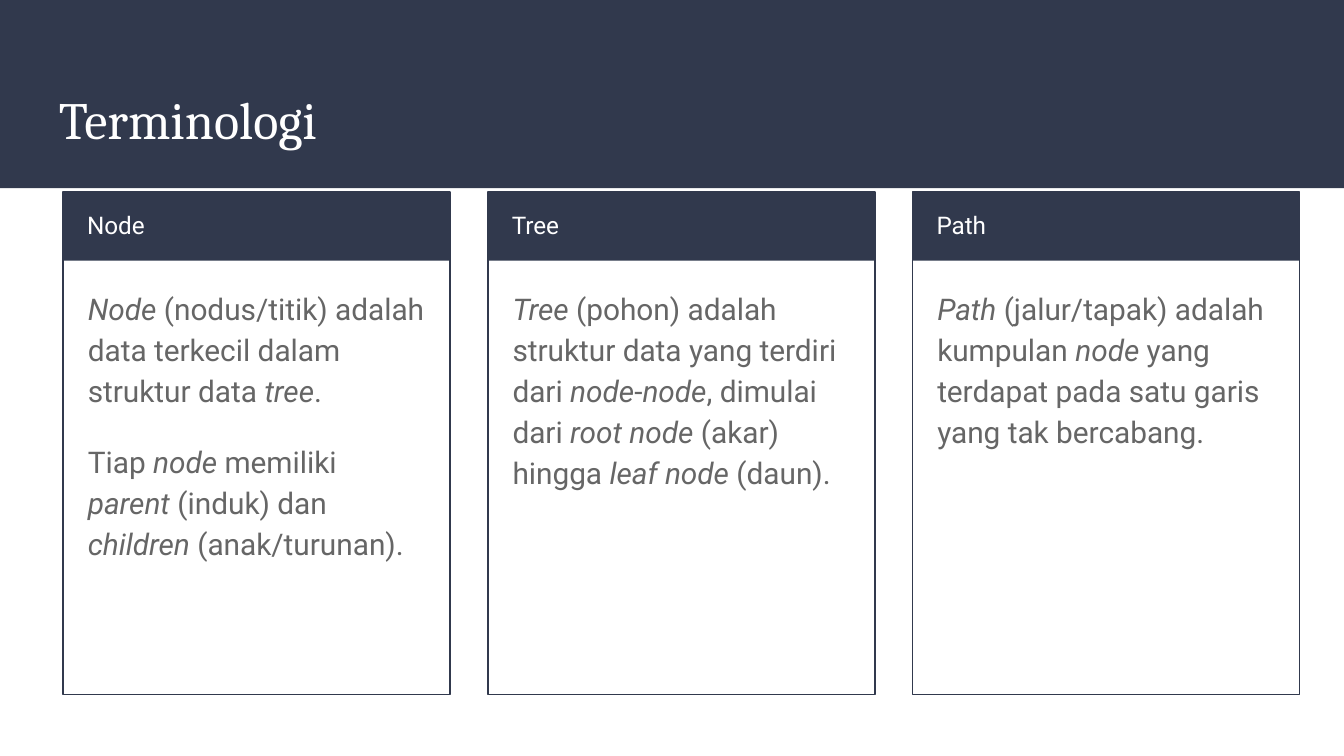
from pptx import Presentation
from pptx import util as u
from pptx.dml import color
from pptx.enum import shapes, text

PX = 4572
NAVY, WHITE, GREY = "31394D", "FFFFFF", "666666"
CARD_LEFT, CARD_TOP, CARD_WIDTH, CARD_HEIGHT, CARD_PITCH = 94, 286, 576, 748, 632
TERMS = [
    ("Node", ["*Node* (nodus/titik) adalah data terkecil dalam struktur data *tree*.",
              "Tiap *node* memiliki *parent* (induk) dan *children* (anak/turunan)."]),
    ("Tree", ["*Tree* (pohon) adalah struktur data yang terdiri dari *node*-*node*, "
              "dimulai dari *root node* (akar) hingga *leaf node* (daun)."]),
    ("Path", ["*Path* (jalur/tapak) adalah kumpulan *node* yang terdapat pada "
              "satu garis yang tak bercabang."]),
]


def rgb(hex_color):
    """Turn a hex string into a colour."""
    return color.RGBColor.from_string(hex_color)


def add_box(slide, left, top, width, height, fill=None, line=None):
    """Draw a rectangle with an optional fill and outline."""
    box = slide.shapes.add_shape(shapes.MSO_SHAPE.RECTANGLE,
                                 left * PX, top * PX, width * PX, height * PX)
    box.shadow.inherit = False
    if fill:
        box.fill.solid()
        box.fill.fore_color.rgb = rgb(fill)
    else:
        box.fill.background()
    if line:
        box.line.color.rgb = rgb(line)
        box.line.width = u.Pt(0.75)
    else:
        box.line.fill.background()


def add_text(slide, left, top, width, height, paragraphs, size, font, hex_color, spacing=1.15):
    """Write paragraphs in which asterisks enclose italic words."""
    frame = slide.shapes.add_textbox(left * PX, top * PX, width * PX, height * PX).text_frame
    frame.word_wrap = True
    frame.vertical_anchor = text.MSO_ANCHOR.TOP
    frame.margin_left = frame.margin_right = frame.margin_top = frame.margin_bottom = 20 * PX
    for index, wording in enumerate(paragraphs):
        paragraph = frame.add_paragraph() if index else frame.paragraphs[0]
        paragraph.line_spacing = spacing
        paragraph.space_before = u.Pt(size if index else 0)
        for position, part in enumerate(wording.split("*")):
            if part:
                run = paragraph.add_run()
                run.text = part
                run.font.size = u.Pt(size)
                run.font.name = font
                run.font.italic = position % 2 == 1
                run.font.color.rgb = rgb(hex_color)


def add_banner(slide, left, top, width, height, title):
    """Draw the dark title band."""
    add_box(slide, left, top, width, height, fill=NAVY)
    add_text(slide, left + 68, top + 110, width - 136, 136, [title], 28, "Cambria", WHITE, 1.0)


def add_card(slide, left, top, width, height, term, definition):
    """Draw one outlined card with a term and its definition."""
    add_box(slide, left, top, width, 102, fill=NAVY)
    add_box(slide, left, top, width, height, line=NAVY)
    add_text(slide, left + 16, top, width - 30, 100, [term], 13, "Roboto", WHITE)
    add_text(slide, left + 17, top + 118, width - 34, height - 136,
             definition, 16, "Roboto", GREY)


def main():
    """Build the terminology slide."""
    deck = Presentation()
    deck.slide_width, deck.slide_height = 2000 * PX, 1125 * PX
    slide = deck.slides.add_slide(deck.slide_layouts[6])
    add_banner(slide, 0, 0, 2000, 280, "Terminologi")
    for column, (term, definition) in enumerate(TERMS):
        add_card(slide, CARD_LEFT + column * CARD_PITCH, CARD_TOP,
                 CARD_WIDTH, CARD_HEIGHT, term, definition)
    deck.save("out.pptx")


if __name__ == "__main__":
    main()
